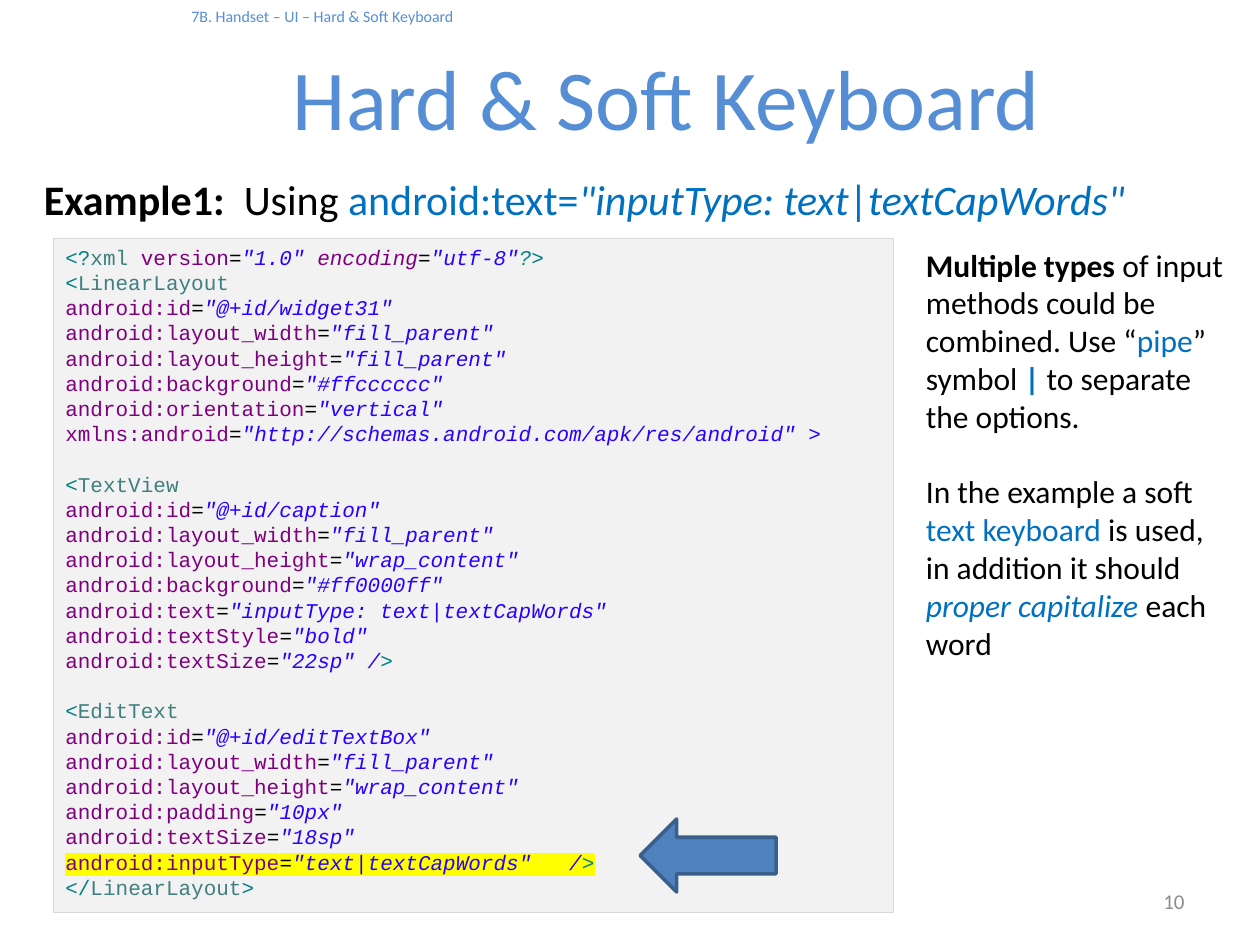
from dataclasses import dataclass

from lxml import etree
from pptx import Presentation
from pptx.dml.color import RGBColor
from pptx.enum.shapes import MSO_SHAPE
from pptx.enum.text import MSO_ANCHOR, PP_ALIGN
from pptx.oxml.ns import qn
from pptx.util import Inches, Pt

RECT, ARROW = MSO_SHAPE.RECTANGLE, MSO_SHAPE.LEFT_ARROW
LEFT, CENTER, RIGHT = PP_ALIGN.LEFT, PP_ALIGN.CENTER, PP_ALIGN.RIGHT
TOP, MIDDLE = MSO_ANCHOR.TOP, MSO_ANCHOR.MIDDLE

COLORS = {
    "title": "558ED5", "number": "8C8C8C", "text": "000000", "accent": "0070C0",
    "panel": "F2F2F2", "panel_line": "D9D9D9", "arrow": "4F81BD", "arrow_line": "3A5F8C",
    "bracket": "008080", "tag": "3F7F7F", "attr": "7F007F", "value": "2A00FF",
    "marker": "FFFF00",
}


@dataclass
class Run:
    text: str
    color: str = "text"
    bold: bool = False
    italic: bool = False
    marked: bool = False


@dataclass
class Para:
    runs: list[Run]
    gap: float = 0  # points of space before


@dataclass
class Style:
    size: float
    font: str = "Calibri"
    align: PP_ALIGN = LEFT
    anchor: MSO_ANCHOR = TOP
    pitch: float = 0  # fixed line height in points, 0 for natural


def rgb(name: str) -> RGBColor:
    return RGBColor.from_string(COLORS[name])


def mark(r) -> None:
    """Highlight a run; the element has to follow the text fill."""
    hl = etree.Element(qn("a:highlight"))
    etree.SubElement(hl, qn("a:srgbClr"), val=COLORS["marker"])
    r.font._element.find(qn("a:solidFill")).addnext(hl)


def write(tf, paras: list[Para], style: Style) -> None:
    tf.word_wrap = True
    tf.vertical_anchor = style.anchor
    for i, para in enumerate(paras):
        p = tf.paragraphs[0] if i == 0 else tf.add_paragraph()
        p.alignment = style.align
        p.space_before = Pt(para.gap)
        if style.pitch:
            p.line_spacing = Pt(style.pitch)
        for run in para.runs:
            r = p.add_run()
            r.text = run.text
            r.font.name, r.font.size = style.font, Pt(style.size)
            r.font.bold, r.font.italic = run.bold, run.italic
            r.font.color.rgb = rgb(run.color)
            if run.marked:
                mark(r)


def add_text(s, box: tuple, paras: list[Para], style: Style, inset_top: float = 0.05) -> None:
    tb = s.shapes.add_textbox(*map(Inches, box))
    tb.text_frame.margin_top = Inches(inset_top)
    write(tb.text_frame, paras, style)


def add_block(s, kind, box: tuple, fill: str, line: str, width: float):
    sp = s.shapes.add_shape(kind, *map(Inches, box))
    sp.shadow.inherit = False
    sp.fill.solid()
    sp.fill.fore_color.rgb = rgb(fill)
    sp.line.color.rgb = rgb(line)
    sp.line.width = Pt(width)
    return sp


def attribute(line: str, marked: bool = False) -> Para:
    """Colour name="value"; a closing > after a slash is a bracket."""
    name, value = line.split("=", 1)
    closed = value.endswith("/>")
    runs = [Run(name, "attr"), Run("="),
            Run(value[:-1] if closed else value, "value", italic=True)]
    if closed:
        runs.append(Run(">", "bracket", italic=True))
    for run in runs:
        run.marked = marked
    return Para(runs)


def element(tag: str, attributes: list[str], gap: float = 0, marked: str = "") -> list[Para]:
    opening = Para([Run("<", "bracket"), Run(tag, "tag")], gap)
    return [opening] + [attribute(a, a == marked) for a in attributes]


CODE = Style(12, "Courier New", pitch=14.4)
INPUT_TYPE = 'android:inputType="text|textCapWords"   />'
WIDTH = 'android:layout_width="fill_parent"'
HEIGHT = 'android:layout_height="wrap_content"'

DECLARATION = Para([
    Run("<?", "bracket"), Run("xml ", "tag"), Run("version", "attr"), Run("="),
    Run('"1.0" ', "value", italic=True), Run("encoding", "attr", italic=True),
    Run("=", italic=True), Run('"utf-8"', "value", italic=True),
    Run("?>", "bracket", italic=True),
])
LISTING = [
    DECLARATION,
    *element("LinearLayout", [
        'android:id="@+id/widget31"', WIDTH, 'android:layout_height="fill_parent"',
        'android:background="#ffcccccc"', 'android:orientation="vertical"',
        'xmlns:android="http://schemas.android.com/apk/res/android" >']),
    *element("TextView", [
        'android:id="@+id/caption"', WIDTH, HEIGHT, 'android:background="#ff0000ff"',
        'android:text="inputType: text|textCapWords"', 'android:textStyle="bold"',
        'android:textSize="22sp" />'], CODE.pitch),
    *element("EditText", [
        'android:id="@+id/editTextBox"', WIDTH, HEIGHT, 'android:padding="10px"',
        'android:textSize="18sp"', INPUT_TYPE], CODE.pitch, INPUT_TYPE),
    Para([Run("</", "bracket"), Run("LinearLayout", "tag"), Run(">", "bracket")]),
]
EXAMPLE = [Para([
    Run("Example1:  ", bold=True), Run("Using "), Run("android:text=", "accent"),
    Run('"inputType: text', "accent", italic=True), Run("|", "accent"),
    Run('textCapWords"', "accent", italic=True),
])]
NOTES = [
    Para([Run("Multiple types ", bold=True),
          Run("of input methods could be combined. Use “"), Run("pipe", "accent"),
          Run("” symbol "), Run("| ", "accent", bold=True),
          Run("to separate the options.")]),
    Para([Run("In the example a soft "), Run("text keyboard", "accent"),
          Run(" is used,")], gap=21.6),
    Para([Run("in addition it should "), Run("proper capitalize", "accent", italic=True),
          Run(" each word")]),
]


def main() -> None:
    prs = Presentation()
    prs.slide_width, prs.slide_height = Inches(10), Inches(7.5)
    s = prs.slides.add_slide(prs.slide_layouts[6])

    # Header, title and page number
    add_text(s, (1.42, 0.05, 4, 0.2),
             [Para([Run("7B. Handset – UI – Hard & Soft Keyboard", "title")])], Style(9.1), 0)
    add_text(s, (0.79, 0.36, 9, 0.83), [Para([Run("Hard & Soft Keyboard", "title")])],
             Style(48.7, align=CENTER), 0)
    add_text(s, (7.17, 6.95, 2.33, 0.4), [Para([Run("10", "number")])],
             Style(12, align=RIGHT, anchor=MIDDLE))

    # Example heading
    add_text(s, (0.25, 1.33, 9.33, 0.5), EXAMPLE, Style(24))

    # Code panel
    panel = add_block(s, RECT, (0.42, 1.89, 6.67, 5.35), "panel", "panel_line", 0.25)
    write(panel.text_frame, LISTING, CODE)

    # Side notes and arrow to the marked line
    add_text(s, (7.25, 1.9, 2.58, 3.43), NOTES, Style(18))
    add_block(s, ARROW, (5.08, 6.5, 1.08, 0.58), "arrow", "arrow_line", 2)

    prs.save("out.pptx")


if __name__ == "__main__":
    main()
